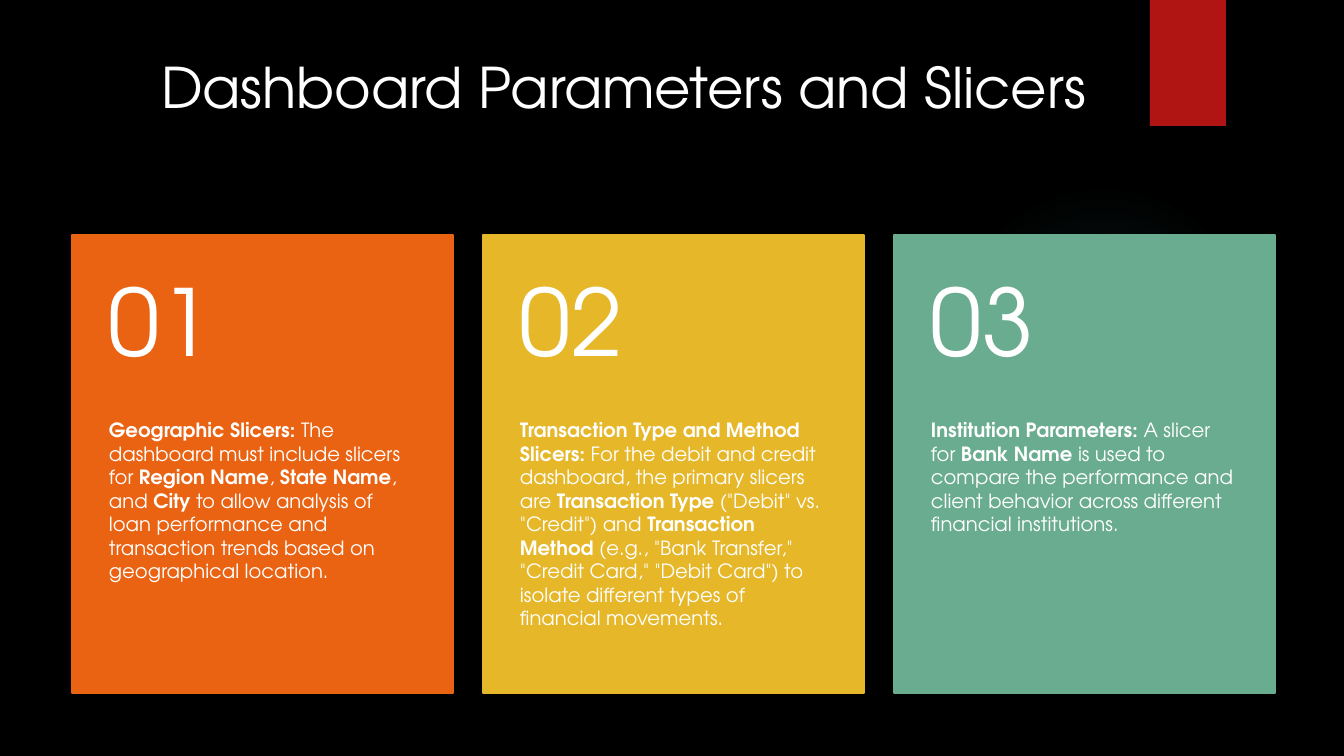
from pptx import Presentation
from pptx import util as u
from pptx.dml.color import RGBColor
from pptx.enum import shapes, text
from pptx.oxml import parse_xml
from pptx.oxml.ns import nsdecls

EMU_PER_PX = 914400 / 100.8
FONT = "TeX Gyre Adventor"
WHITE = "FFFFFF"
GLOW = "50B9C1"
GLOW_STOPS = [(0, 7), (36, 6), (69, 0)]  # position %, opacity %

CARD_LEFT, CARD_TOP, CARD_WIDTH, CARD_STEP = 72, 235, 381, 411
NUMBER_HEIGHT, BODY_HEIGHT = 183, 275

# Card colour, then text pieces that alternate bold and regular
CARDS = [
    ("EA6312", [
        "Geographic Slicers:", " The dashboard must include slicers for ",
        "Region Name", ", ", "State Name", ", and ", "City",
        " to allow analysis of loan performance and transaction trends "
        "based on geographical location."]),
    ("E6B729", [
        "Transaction Type and Method Slicers:",
        " For the debit and credit dashboard, the primary slicers are ",
        "Transaction Type", ' ("Debit" vs. "Credit") and ',
        "Transaction Method",
        ' (e.g., "Bank Transfer," "Credit Card," "Debit Card") to isolate '
        "different types of financial movements."]),
    ("6AAC90", [
        "Institution Parameters:", " A slicer for ", "Bank Name",
        " is used to compare the performance and client behavior across "
        "different financial institutions."]),
]


def px(length):
    return u.Emu(round(length * EMU_PER_PX))


def color(hex_value):
    return RGBColor.from_string(hex_value)


def set_values(target, values):
    for name, value in values.items():
        setattr(target, name, value)


def add_block(slide, kind, box, fill, outlined=False):
    block = slide.shapes.add_shape(kind, *map(px, box))
    block.shadow.inherit = False
    block.fill.solid()
    block.fill.fore_color.rgb = color(fill)
    if outlined:
        block.line.color.rgb = color(fill)
        block.line.width = u.Pt(1.5)
    else:
        block.line.fill.background()
    return block


def add_glow(slide, box):
    glow = add_block(slide, shapes.MSO_SHAPE.OVAL, box, GLOW)
    stops = "".join(
        f'<a:gs pos="{position * 1000}"><a:srgbClr val="{GLOW}">'
        f'<a:alpha val="{opacity * 1000}"/></a:srgbClr></a:gs>'
        for position, opacity in GLOW_STOPS)
    gradient = parse_xml(
        f'<a:gradFill {nsdecls("a")}><a:gsLst>{stops}</a:gsLst>'
        '<a:path path="circle"><a:fillToRect l="50000" t="50000" '
        'r="50000" b="50000"/></a:path></a:gradFill>')
    properties = glow.fill._xPr
    properties.replace(properties.solidFill if hasattr(properties, "solidFill")
                       else properties.eg_fillProperties, gradient)


def add_text(slide, box, pieces, size, insets, anchor, spacing=None):
    frame = slide.shapes.add_textbox(*map(px, box)).text_frame
    left, top, right, bottom = map(px, insets)
    set_values(frame, {
        "word_wrap": True, "vertical_anchor": anchor,
        "margin_left": left, "margin_top": top,
        "margin_right": right, "margin_bottom": bottom})
    paragraph = frame.paragraphs[0]
    set_values(paragraph, {"alignment": text.PP_ALIGN.LEFT,
                           "line_spacing": spacing})
    for words, bold in pieces:
        run = paragraph.add_run()
        run.text = words
        set_values(run.font, {"name": FONT, "size": u.Pt(size), "bold": bold})
        run.font.color.rgb = color(WHITE)


def add_card(slide, index, fill, pieces):
    left = CARD_LEFT + index * CARD_STEP
    body_top = CARD_TOP + NUMBER_HEIGHT
    add_block(slide, shapes.MSO_SHAPE.RECTANGLE,
              (left, CARD_TOP, CARD_WIDTH, NUMBER_HEIGHT + BODY_HEIGHT),
              fill, outlined=True)
    add_text(slide, (left, body_top, CARD_WIDTH, BODY_HEIGHT),
             [(words, i % 2 == 0) for i, words in enumerate(pieces)],
             14, (37, 0, 37, 36), text.MSO_ANCHOR.TOP)
    add_text(slide, (left, CARD_TOP, CARD_WIDTH, NUMBER_HEIGHT),
             [(f"{index + 1:02d}", False)],
             66, (37, 18, 37, 18), text.MSO_ANCHOR.MIDDLE, spacing=0.9)


def main():
    deck = Presentation()
    set_values(deck, {"slide_width": px(1344), "slide_height": px(756)})
    slide = deck.slides.add_slide(deck.slide_layouts[6])

    # Backdrop
    slide.background.fill.solid()
    slide.background.fill.fore_color.rgb = color("000000")
    add_glow(slide, (949, 184, 310, 310))
    add_block(slide, shapes.MSO_SHAPE.RECTANGLE, (1150, 0, 76, 126), "B01513")

    # Title
    add_text(slide, (151, 38, 1107, 97),
             [("Dashboard Parameters and Slicers", False)],
             40, (10, 5, 10, 5), text.MSO_ANCHOR.MIDDLE)

    # Numbered cards
    for index, (fill, pieces) in enumerate(CARDS):
        add_card(slide, index, fill, pieces)

    deck.save("out.pptx")


if __name__ == "__main__":
    main()
